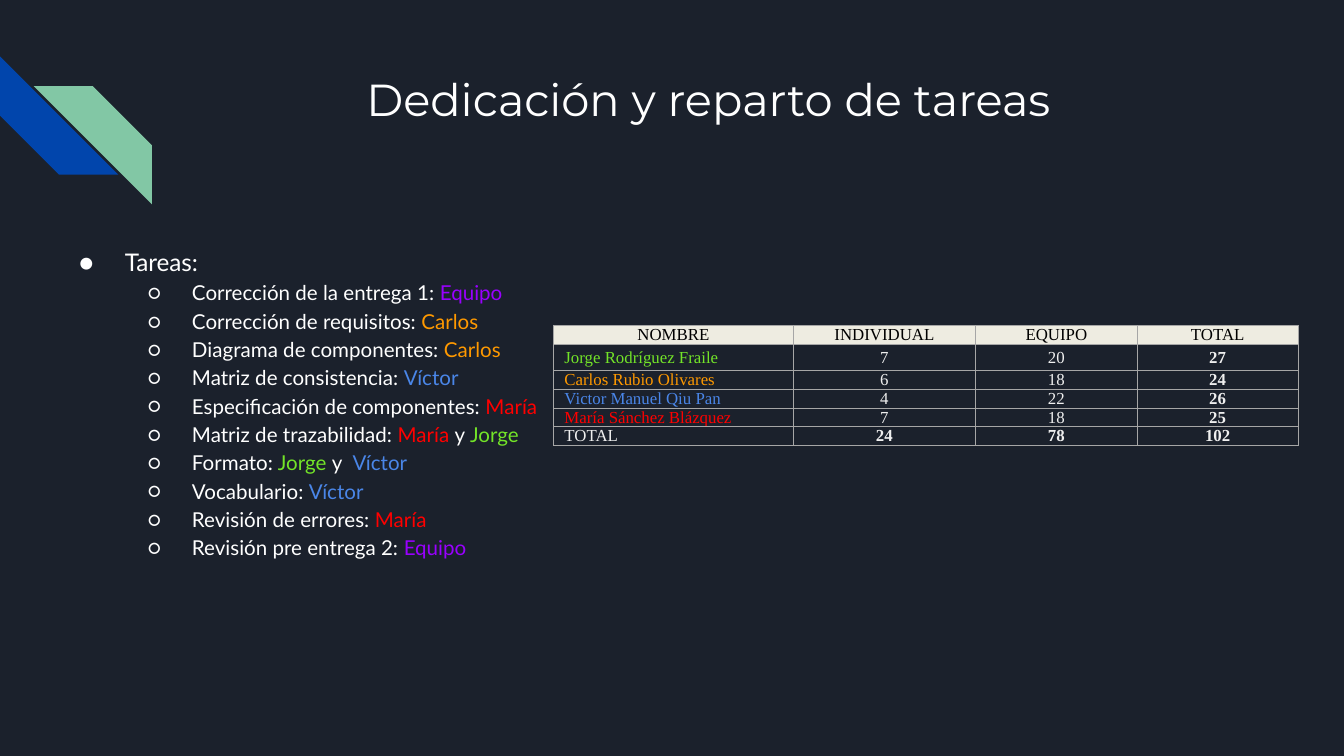
import pptx
import pptx.util
import pptx.dml.color
import pptx.enum.shapes
import pptx.enum.text
import pptx.oxml
from lxml import etree

Inches, Pt = pptx.util.Inches, pptx.util.Pt
RGB = pptx.dml.color.RGBColor.from_string
ALIGN = pptx.enum.text.PP_ALIGN
ANCHOR = pptx.enum.text.MSO_ANCHOR
qn = pptx.oxml.ns.qn

COLORS = {
    "background": "1B212C", "blue stripe": "0145AC", "green stripe": "82C7A5",
    "white": "FFFFFF", "black": "000000", "header": "EEECE1",
    "figures": "EFEFEF", "border": "A6A6A6",
    "Equipo": "9900FF", "Carlos": "FF9900", "Víctor": "4A86E8",
    "María": "FF0000", "Jorge": "73E428",
}

# Each task is a list of text pieces; pieces naming a person take that colour.
TASKS = [
    ["Corrección de la entrega 1: ", "Equipo"],
    ["Corrección de requisitos: ", "Carlos"],
    ["Diagrama de componentes: ", "Carlos"],
    ["Matriz de consistencia: ", "Víctor"],
    ["Especificación de componentes: ", "María"],
    ["Matriz de trazabilidad: ", "María ", "y ", "Jorge"],
    ["Formato:", " Jorge ", "y  ", "Víctor"],
    ["Vocabulario: ", "Víctor"],
    ["Revisión de errores: ", "María"],
    ["Revisión pre entrega 2: ", "Equipo"],
]
HOURS = [
    ["NOMBRE", "INDIVIDUAL", "EQUIPO", "TOTAL"],
    ["Jorge Rodríguez Fraile", "7", "20", "27"],
    ["Carlos Rubio Olivares", "6", "18", "24"],
    ["Victor Manuel Qiu Pan", "4", "22", "26"],
    ["María Sánchez Blázquez", "7", "18", "25"],
    ["TOTAL", "24", "78", "102"],
]
NAME_COLORS = ["black", "Jorge", "Carlos", "Víctor", "María", "figures"]
COLUMN_WIDTHS = [1.78, 1.36, 1.2, 1.2]
ROW_HEIGHTS = [0.08, 0.2, 0.08, 0.08, 0.08, 0.08]


def add_bullet(para, symbol, margin, indent):
    props = para._p.get_or_add_pPr()
    props.set("marL", str(Inches(margin)))
    props.set("indent", str(Inches(indent)))
    color = etree.SubElement(props, qn("a:buClr"))
    etree.SubElement(color, qn("a:srgbClr"), val=COLORS["white"])
    etree.SubElement(props, qn("a:buFont"), typeface="Lato")
    etree.SubElement(props, qn("a:buChar"), char=symbol)


def add_borders(cell):
    props = cell._tc.get_or_add_tcPr()
    for position, side in enumerate(("a:lnL", "a:lnR", "a:lnT", "a:lnB")):
        line = etree.Element(qn(side), w=str(Pt(0.5)))
        fill = etree.SubElement(line, qn("a:solidFill"))
        etree.SubElement(fill, qn("a:srgbClr"), val=COLORS["border"])
        props.insert(position, line)


# Widescreen 16:9 page
deck = pptx.Presentation()
deck.slide_width = Inches(10)
deck.slide_height = Inches(10) * 9 // 16
page = deck.slides.add_slide(deck.slide_layouts[5])
page.background.fill.solid()
page.background.fill.fore_color.rgb = RGB(COLORS["background"])

# Corner stripes, placed behind the title
title = page.shapes.title
for left, top, rotation, color in [(0, 0.42, 270, "blue stripe"),
                                   (0.25, 0.64, 90, "green stripe")]:
    stripe = page.shapes.add_shape(
        pptx.enum.shapes.MSO_SHAPE.DIAGONAL_STRIPE,
        Inches(left), Inches(top), Inches(0.88), Inches(0.88))
    stripe.rotation = rotation
    stripe.shadow.inherit = False
    stripe.fill.solid()
    stripe.fill.fore_color.rgb = RGB(COLORS[color])
    stripe.line.fill.background()
    title._element.addprevious(stripe._element)

# Title
title.left, title.top = Inches(1.42), Inches(0.43)
title.width, title.height = Inches(7.7), Inches(1)
title.text = "Dedicación y reparto de tareas"
para = title.text_frame.paragraphs[0]
para.alignment = ALIGN.CENTER
para.font.name, para.font.size = "Montserrat", Pt(24)
para.font.color.rgb = RGB(COLORS["white"])

# Task list
box = page.shapes.add_textbox(Inches(0.33), Inches(1.71), Inches(3.79), Inches(3.18))
box.text_frame.word_wrap = True
for frame in (title.text_frame, box.text_frame):
    frame.vertical_anchor = ANCHOR.TOP
    frame.auto_size = pptx.enum.text.MSO_AUTO_SIZE.NONE
    frame.margin_left = frame.margin_right = Inches(0.1)
    frame.margin_top = frame.margin_bottom = Inches(0.1)

for number, pieces in enumerate([["Tareas:"]] + TASKS):
    if number == 0:
        para = box.text_frame.paragraphs[0]
        size, bullet = 13, ("●", 0.5, -0.34)
    else:
        para = box.text_frame.add_paragraph()
        para.level = 1
        size, bullet = 11, ("○", 1, -0.33)
    para.line_spacing = 1.15
    add_bullet(para, *bullet)
    para.font.name, para.font.size = "Lato", Pt(size)
    for piece in pieces:
        span = para.add_run()
        span.text = piece
        span.font.color.rgb = RGB(COLORS.get(piece.strip(), COLORS["white"]))

# Hours table
table = page.shapes.add_table(
    len(HOURS), len(COLUMN_WIDTHS), Inches(4.12), Inches(2.42),
    Inches(sum(COLUMN_WIDTHS)), Inches(sum(ROW_HEIGHTS))).table
table.horz_banding = False
for column, width in zip(table.columns, COLUMN_WIDTHS):
    column.width = Inches(width)
for row, height in zip(table.rows, ROW_HEIGHTS):
    row.height = Inches(height)

last_row, last_column = len(HOURS) - 1, len(COLUMN_WIDTHS) - 1
for r, values in enumerate(HOURS):
    for c, value in enumerate(values):
        cell = table.cell(r, c)
        cell.vertical_anchor = ANCHOR.MIDDLE
        cell.margin_left = cell.margin_right = Inches(0.08)
        cell.margin_top = cell.margin_bottom = 0
        if r == 0:
            cell.fill.solid()
            cell.fill.fore_color.rgb = RGB(COLORS["header"])
        else:
            cell.fill.background()
        add_borders(cell)
        cell.text = value
        para = cell.text_frame.paragraphs[0]
        para.alignment = ALIGN.LEFT if c == 0 and r > 0 else ALIGN.CENTER
        para.space_before = para.space_after = Pt(2)
        para.font.name, para.font.size = "Times New Roman", Pt(9)
        para.font.bold = r > 0 and (c == last_column or (r == last_row and c > 0))
        color = NAME_COLORS[r] if c == 0 or r == 0 else "figures"
        para.font.color.rgb = RGB(COLORS[color])

deck.save("out.pptx")
